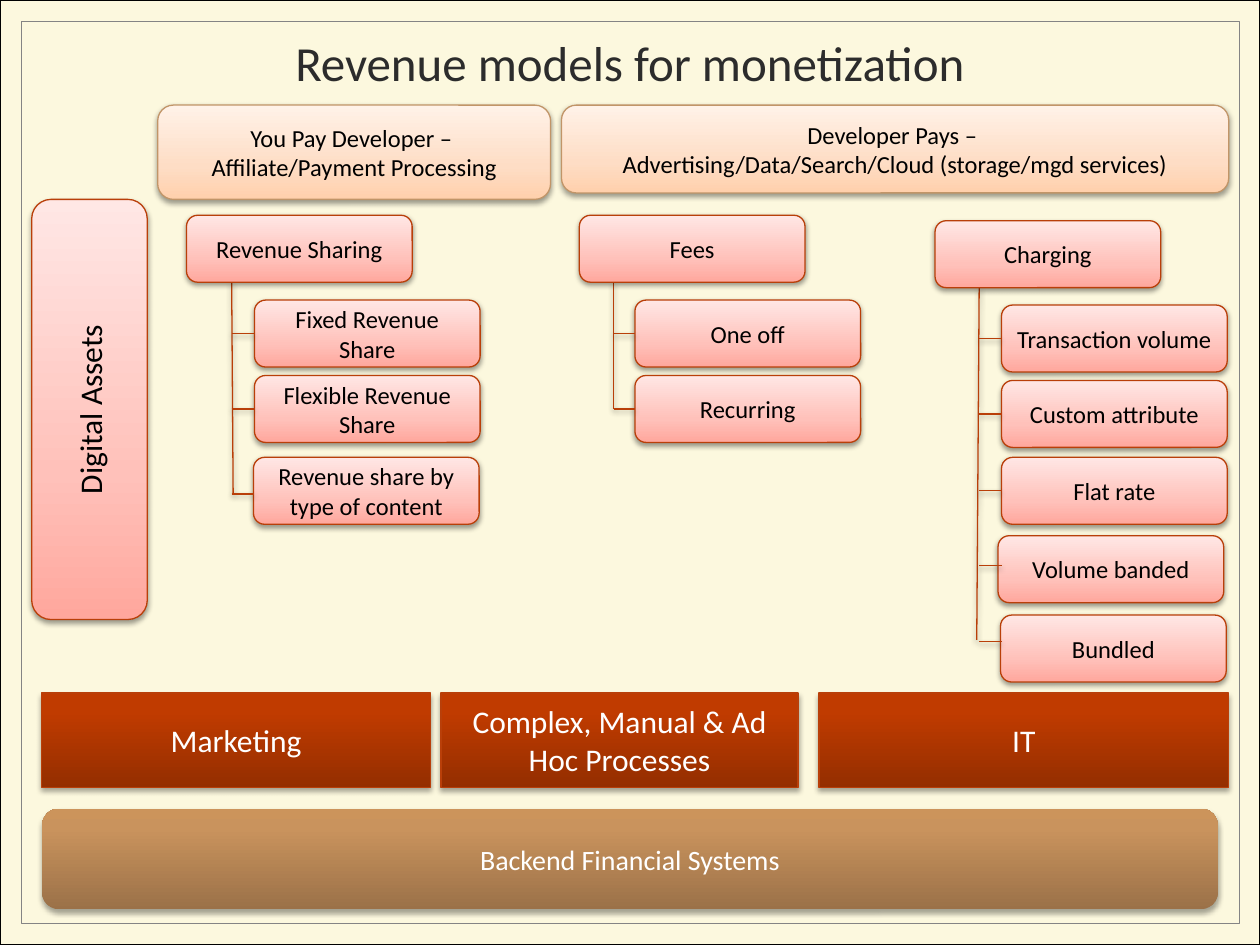
from copy import deepcopy
from dataclasses import dataclass

from lxml import etree
from pptx import Presentation
from pptx import util as u
from pptx.dml.color import RGBColor
from pptx.enum import shapes, text
from pptx.oxml.ns import qn

RECT = shapes.MSO_SHAPE.RECTANGLE
ROUND = shapes.MSO_SHAPE.ROUNDED_RECTANGLE


@dataclass(frozen=True)
class Theme:
    font: str = "Calibri"
    title: int = 28
    large: int = 18
    medium: int = 16
    small: int = 14
    page: str = "FCF8DE"
    border: str = "000000"
    frame: str = "848484"
    heading: str = "2C2C2C"
    dark: str = "000000"
    light: str = "FFFFFF"
    rust: str = "B93F09"
    tan: str = "C19568"
    pink: tuple = ((0, "FFA79D"), (0.35, "FFC1BA"), (1, "FFE7E5"))
    peach: tuple = ((0, "FFD0AC"), (0.35, "FEDDC5"), (1, "FFF2E8"))
    brick: tuple = ((0, "942E00"), (0.8, "C03B00"), (1, "C13B00"))
    bronze: tuple = ((0, "9B7148"), (0.8, "C9935D"), (1, "CC945B"))


def rgb(value):
    return RGBColor.from_string(value)


def put_text(tf, content, *, size, color, font):
    tf.word_wrap = True
    tf.auto_size = text.MSO_AUTO_SIZE.NONE
    tf.vertical_anchor = text.MSO_ANCHOR.MIDDLE
    for i, line in enumerate(content.split("\n")):
        p = tf.add_paragraph() if i else tf.paragraphs[0]
        p.alignment = text.PP_ALIGN.CENTER
        r = p.add_run()
        r.text = line
        r.font.size = u.Pt(size)
        r.font.name = font
        r.font.color.rgb = rgb(color)


def cast_shadow(effects, alpha=38, distance=1.6):
    shadow = etree.SubElement(effects, qn("a:outerShdw"), blurRad=str(u.Pt(3.1)),
                              dist=str(u.Pt(distance)), dir="5400000", rotWithShape="0")
    color = etree.SubElement(shadow, qn("a:srgbClr"), val="000000")
    etree.SubElement(color, qn("a:alpha"), val=str(alpha * 1000))


class Deck:
    def __init__(self, theme):
        self.theme = theme
        self.prs = Presentation()
        self.prs.slide_width, self.prs.slide_height = u.Cm(25.4), u.Cm(19.05)
        self.s = self.prs.slides.add_slide(self.prs.slide_layouts[5])
        self.s.background.fill.solid()
        self.s.background.fill.fore_color.rgb = rgb(theme.page)
        self.canvas = self.s.shapes

    def title(self, content, x, y, w, h):
        sp = self.s.shapes.title
        sp.left, sp.top, sp.width, sp.height = map(u.Cm, (x, y, w, h))
        put_text(sp.text_frame, content, size=self.theme.title,
                 color=self.theme.heading, font=self.theme.font)

    def frame(self, x, y, w, h, color, weight):
        sp = self.canvas.add_shape(RECT, *map(u.Cm, (x, y, w, h)))
        sp.shadow.inherit = False
        sp.fill.background()
        sp.line.color.rgb = rgb(color)
        sp.line.width = u.Pt(weight)

    def box(self, content, x, y, w, h, *, kind=ROUND, stops=None, line=None,
            size=None, color=None, alpha=38, distance=1.6, vertical=False):
        t = self.theme
        sp = self.canvas.add_shape(kind, *map(u.Cm, (x, y, w, h)))
        sp.fill.gradient()
        sp.fill.gradient_angle = 90
        gradient = sp._element.spPr.find(qn("a:gradFill")).find(qn("a:gsLst"))
        gradient.append(deepcopy(gradient[-1]))
        for stop, (position, shade) in zip(sp.fill.gradient_stops, stops or t.pink):
            stop.position = position
            stop.color.rgb = rgb(shade)
        if line:
            sp.line.color.rgb = rgb(line)
            sp.line.width = u.Pt(0.75)
        else:
            sp.line.fill.background()
        sp.shadow.inherit = False
        cast_shadow(sp._element.spPr.find(qn("a:effectLst")), alpha, distance)
        tf = sp.text_frame
        put_text(tf, content, size=size or t.small, color=color or t.dark, font=t.font)
        if vertical:
            tf._txBody.bodyPr.set("vert", "vert270")
        return sp

    def line(self, x1, y1, x2, y2, target=None):
        c = self.canvas.add_connector(shapes.MSO_CONNECTOR.STRAIGHT,
                                      *map(u.Cm, (x1, y1, x2, y2)))
        c.line.color.rgb = rgb(self.theme.rust)
        c.line.width = u.Pt(0.75)
        cast_shadow(etree.SubElement(c._element.spPr, qn("a:effectLst")))
        if target is not None:
            c.end_connect(target, 1)

    def tree(self, name, x, y, trunk, children):
        w, h = 4.55, 1.35
        rust = self.theme.rust
        self.canvas = self.s.shapes.add_group_shape().shapes
        self.line(trunk[0], y + h, *trunk[1:])
        self.box(name, x, y, w, h, line=rust)
        boxes = [self.box(label, left, top, w, h, line=rust)
                 for label, left, top, _ in children]
        for sp, (_, _, top, branch) in zip(boxes, children):
            level = branch or top + h / 2
            self.line(trunk[0], level, children[0][1], level,
                      None if branch else sp)
        self.canvas = self.s.shapes


def main():
    t = Theme()
    deck = Deck(t)
    deck.frame(0, 0, 25.4, 19.05, t.border, 0.75)
    deck.frame(0.43, 0.43, 24.55, 18.19, t.frame, 0.5)
    deck.title("Revenue models for monetization", 5.28, 0.64, 14.83, 1.22)

    deck.tree("Fees", 11.68, 4.34, (12.37, 12.37, 8.24), [
        ("One off", 12.8, 6.05, None),
        ("Recurring", 12.8, 7.57, None),
    ])
    deck.tree("Revenue Sharing", 3.76, 4.34, (4.67, 4.7, 9.96), [
        ("Fixed Revenue Share", 5.13, 6.05, None),
        ("Flexible Revenue Share", 5.13, 7.57, None),
        ("Revenue share by type of content", 5.11, 9.22, 9.96),
    ])
    deck.tree("Charging", 18.85, 4.45, (19.74, 19.69, 12.9), [
        ("Transaction volume", 20.19, 6.15, None),
        ("Custom attribute", 20.19, 7.67, None),
        ("Flat rate", 20.19, 9.22, None),
        ("Volume banded", 20.12, 10.8, 11.4),
        ("Bundled", 20.17, 12.4, 12.93),
    ])

    for content, x, w, h in (
        ("You Pay Developer – \nAffiliate/Payment Processing", 3.18, 7.92, 1.9),
        ("Developer Pays – \nAdvertising/Data/Search/Cloud (storage/mgd services)",
         11.32, 13.45, 1.77),
    ):
        deck.box(content, x, 2.12, w, h, stops=t.peach, line=t.tan)

    for content, x, w in (
        ("Marketing", 0.84, 7.84),
        ("Complex, Manual & Ad Hoc Processes", 8.89, 7.2),
        ("IT", 16.51, 8.26),
    ):
        deck.box(content, x, 13.97, w, 1.9, kind=RECT, stops=t.brick, line=t.rust,
                 size=t.large, color=t.light, alpha=35, distance=1.8)

    deck.box("Backend Financial Systems", 0.85, 16.3, 23.7, 2.03, stops=t.bronze,
             size=t.medium, color=t.light, alpha=35, distance=1.8)
    deck.box("Digital Assets", 0.64, 4.02, 2.33, 8.47, line=t.rust,
             size=t.large, vertical=True)
    deck.prs.save("out.pptx")


if __name__ == "__main__":
    main()
